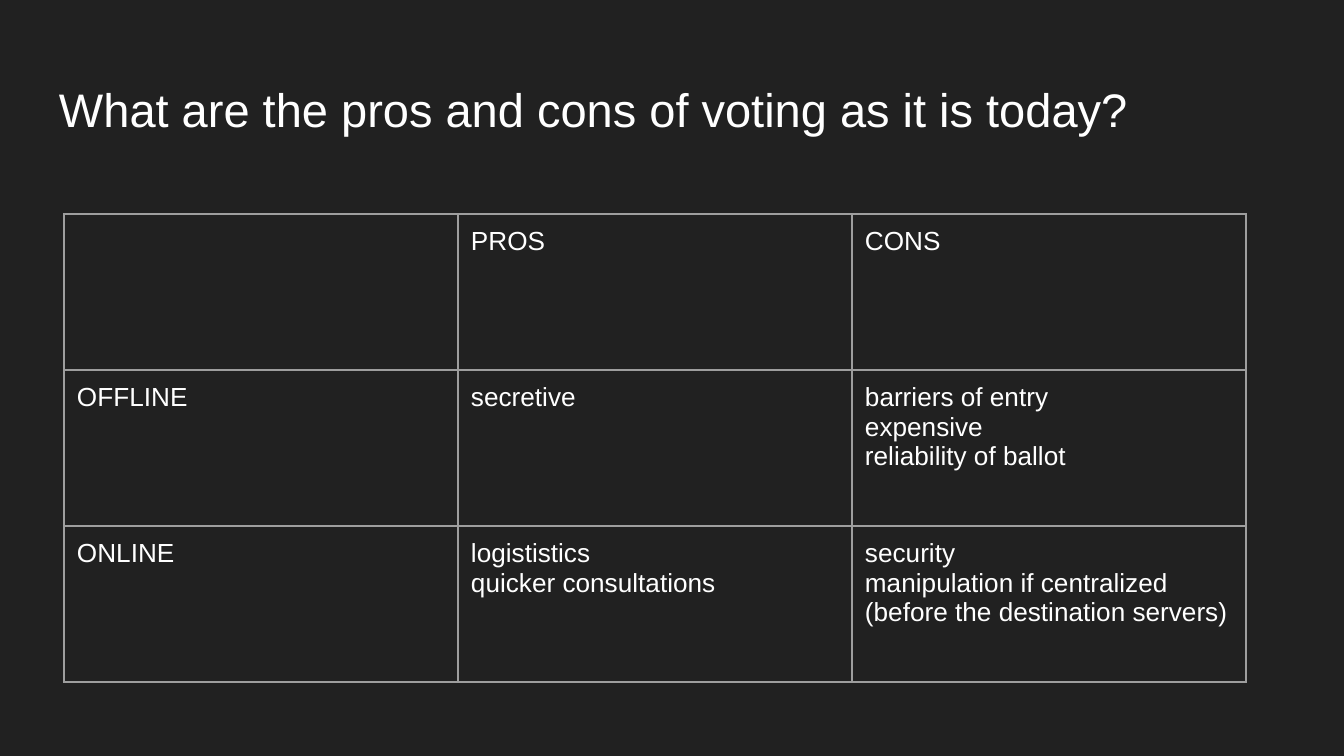
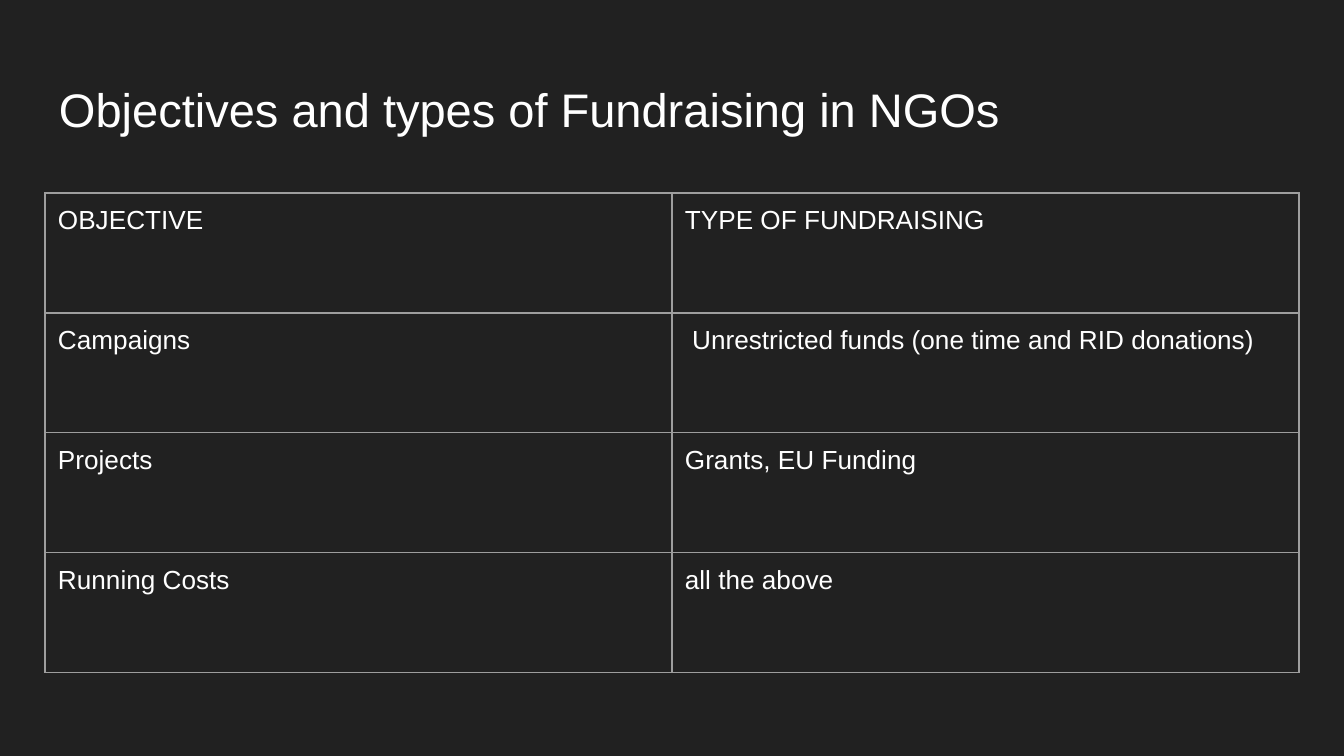
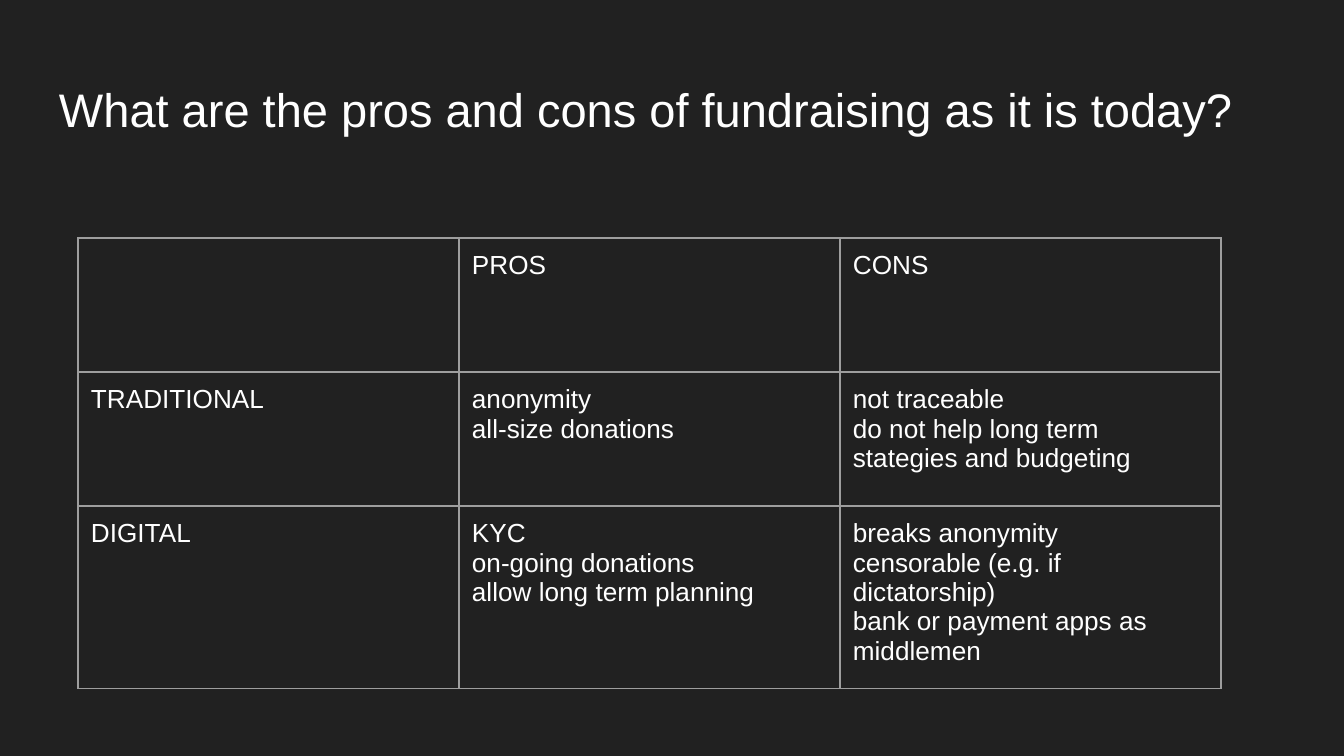
from lxml import etree
from pptx import Presentation
from pptx.dml.color import RGBColor
from pptx.enum.text import MSO_ANCHOR
from pptx.oxml.ns import qn
from pptx.util import Pt

MIDDLE = MSO_ANCHOR.MIDDLE
BACKGROUND = RGBColor(0x21, 0x21, 0x21)
WHITE = RGBColor(0xFF, 0xFF, 0xFF)
GRID = RGBColor(0x9E, 0x9E, 0x9E)
FONT = "Arial"
TITLE_SIZE = 25.2
CELL_SIZE = 14
GRID_WIDTH = Pt(0.75)
INSET = 13
SLIDE_WIDTH, SLIDE_HEIGHT = 1344, 756
EMU_PER_PX = 914400 / 134.4


def px(n):
    return round(n * EMU_PER_PX)


class Deck:
    def __init__(self):
        self.prs = Presentation()
        self.prs.slide_width = px(SLIDE_WIDTH)
        self.prs.slide_height = px(SLIDE_HEIGHT)
        self.s = None

    def slide(self, title):
        self.s = self.prs.slides.add_slide(self.prs.slide_layouts[6])
        fill = self.s.background.fill
        fill.solid()
        fill.fore_color.rgb = BACKGROUND
        self.title(title)

    def title(self, text):
        tf = self.s.shapes.add_textbox(px(46), px(66), px(1252), px(85)).text_frame
        tf.word_wrap = True
        tf.vertical_anchor = MIDDLE
        self.inset(tf)
        tf.text = text
        self.format(tf, TITLE_SIZE)

    def table(self, left, top, col_width, row_height, rows):
        n_rows, n_cols = len(rows), len(rows[0])
        table = self.s.shapes.add_table(
            n_rows, n_cols, px(left), px(top),
            px(col_width * n_cols), px(row_height * n_rows)).table
        table.first_row = False
        table.horz_banding = False
        for col in table.columns:
            col.width = px(col_width)
        for row, texts in zip(table.rows, rows):
            row.height = px(row_height)
            for cell, text in zip(row.cells, texts):
                self.cell(cell, text)

    def cell(self, cell, text):
        self.inset(cell)
        cell.text = text
        self.format(cell.text_frame, CELL_SIZE)
        tc_pr = cell._tc.get_or_add_tcPr()
        for side in ("lnL", "lnR", "lnT", "lnB"):
            ln = etree.SubElement(tc_pr, qn(f"a:{side}"), w=str(GRID_WIDTH))
            fill = etree.SubElement(ln, qn("a:solidFill"))
            etree.SubElement(fill, qn("a:srgbClr"), val=str(GRID))
        cell.fill.background()

    def inset(self, box):
        box.margin_left = box.margin_right = px(INSET)
        box.margin_top = box.margin_bottom = px(INSET)

    def format(self, tf, size):
        for p in tf.paragraphs:
            for r in p.runs:
                r.font.name = FONT
                r.font.size = Pt(size)
                r.font.color.rgb = WHITE


def main():
    deck = Deck()

    deck.slide("What are the pros and cons of voting as it is today?")
    deck.table(64, 214, 394, 156, [
        ("", "PROS", "CONS"),
        ("OFFLINE", "secretive",
         "barriers of entry\nexpensive\nreliability of ballot"),
        ("ONLINE", "logististics\nquicker consultations",
         "security\nmanipulation if centralized (before the destination servers)"),
    ])

    deck.slide("Objectives and types of Fundraising in NGOs")
    deck.table(45, 193, 627, 120, [
        ("OBJECTIVE", "TYPE OF FUNDRAISING"),
        ("Campaigns", " Unrestricted funds (one time and RID donations)"),
        ("Projects", "Grants, EU Funding"),
        ("Running Costs", "all the above"),
    ])

    deck.slide("What are the pros and cons of fundraising as it is today?")
    deck.table(78, 238, 381, 134, [
        ("", "PROS", "CONS"),
        ("TRADITIONAL", "anonymity\nall-size donations",
         "not traceable\ndo not help long term stategies and budgeting"),
        ("DIGITAL", "KYC\non-going donations\nallow long term planning",
         "breaks anonymity\ncensorable (e.g. if dictatorship)\n"
         "bank or payment apps as middlemen"),
    ])

    deck.prs.save("out.pptx")


if __name__ == "__main__":
    main()
